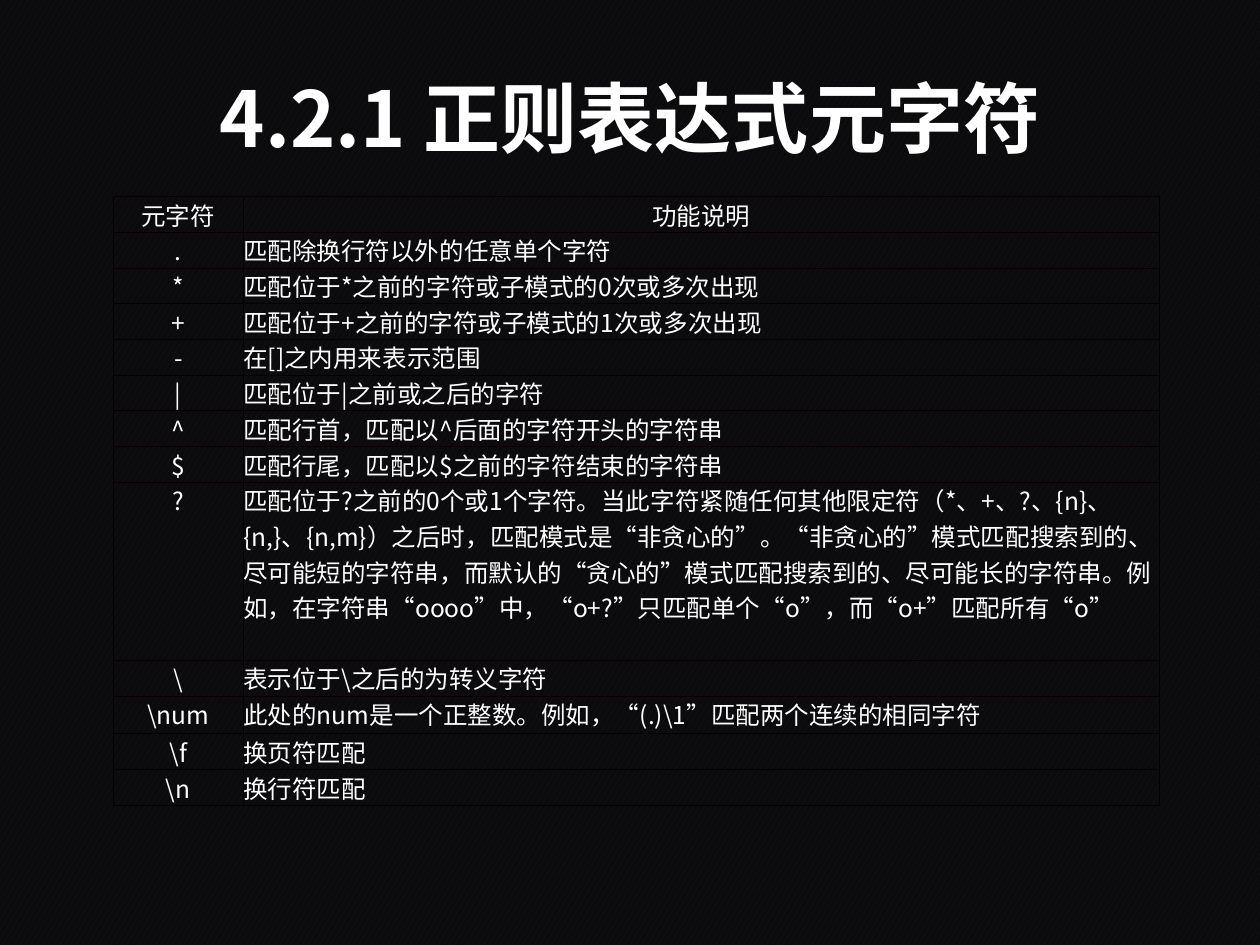
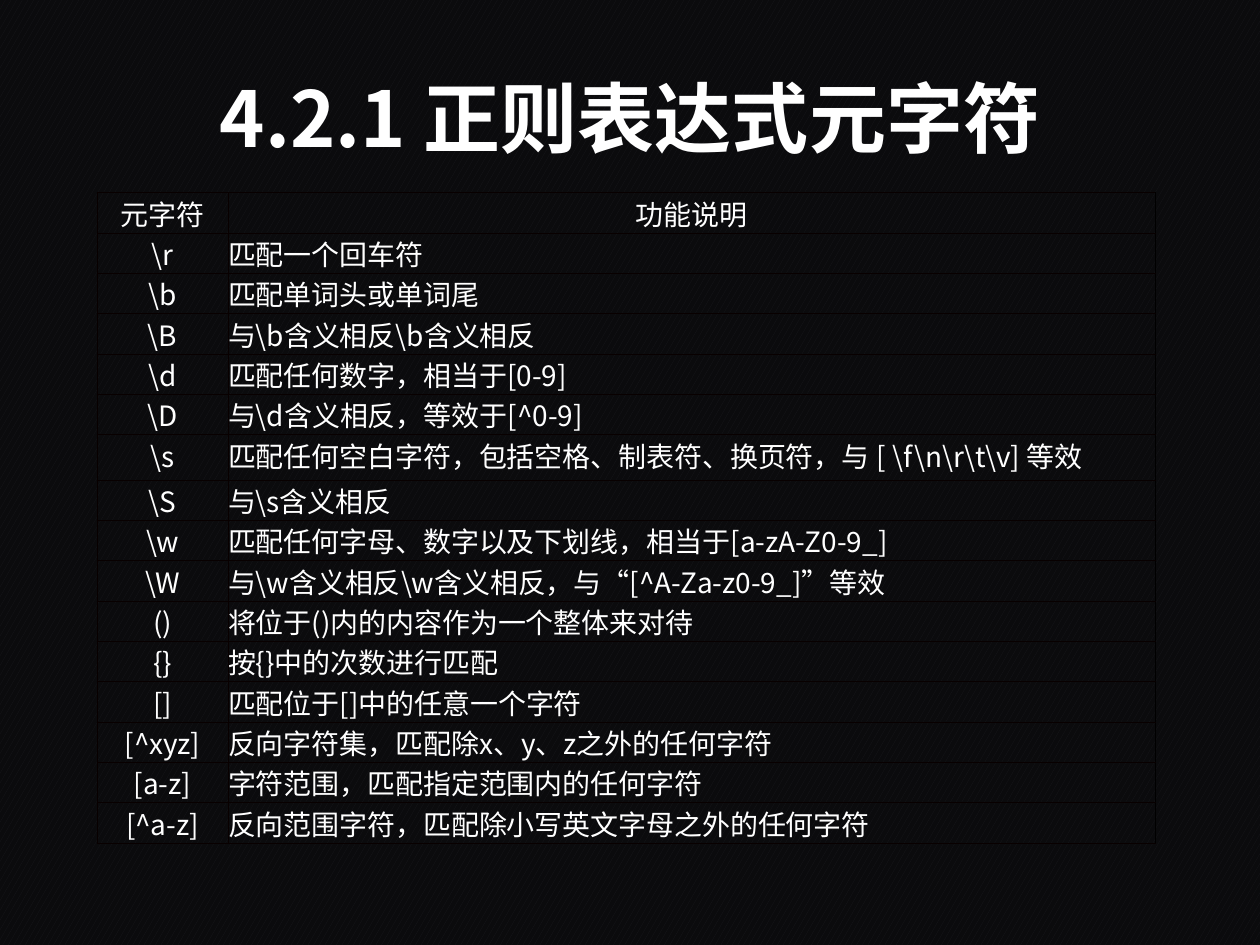
from lxml.etree import SubElement
from pptx import Presentation
from pptx.dml.color import RGBColor
from pptx.enum.dml import MSO_PATTERN
from pptx.enum.text import MSO_ANCHOR, PP_ALIGN
from pptx.oxml.ns import qn
from pptx.util import Inches, Pt

WHITE = RGBColor(0xFF, 0xFF, 0xFF)
NIGHT = RGBColor(0x0B, 0x0B, 0x0D)
CONFETTI = RGBColor(0x19, 0x19, 0x1D)
GRID_LINE = RGBColor(0x08, 0x00, 0x00)
OUTER_LINE = RGBColor(0x00, 0x00, 0x00)
FONT = "Noto Sans CJK SC"
TITLE_RUNS = [("4.2.1 正则表达式", FONT), ("元字符", "Arial")]
HEADER = ("元字符", "功能说明")
CENTRED_VERTICALLY = (r"\f", r"\n", r"\r", "[^xyz]", "[a-z]", "[^a-z]")

FIRST_ROWS = [
    HEADER,
    (".", "匹配除换行符以外的任意单个字符"),
    ("*", "匹配位于*之前的字符或子模式的0次或多次出现"),
    ("+", "匹配位于+之前的字符或子模式的1次或多次出现"),
    ("-", "在[]之内用来表示范围"),
    ("|", "匹配位于|之前或之后的字符"),
    ("^", "匹配行首，匹配以^后面的字符开头的字符串"),
    ("$", "匹配行尾，匹配以$之前的字符结束的字符串"),
    ("?", "匹配位于?之前的0个或1个字符。当此字符紧随任何其他限定符"
          "（*、+、?、{n}、{n,}、{n,m}）之后时，匹配模式是“非贪心的”。"
          "“非贪心的”模式匹配搜索到的、尽可能短的字符串，"
          "而默认的“贪心的”模式匹配搜索到的、尽可能长的字符串。"
          "例如，在字符串“oooo”中，“o+?”只匹配单个“o”，而“o+”匹配所有“o”"),
    ("\\", "表示位于\\之后的为转义字符"),
    (r"\num", r"此处的num是一个正整数。例如，“(.)\1”匹配两个连续的相同字符"),
    (r"\f", "换页符匹配"),
    (r"\n", "换行符匹配"),
]
SECOND_ROWS = [
    HEADER,
    (r"\r", "匹配一个回车符"),
    (r"\b", "匹配单词头或单词尾"),
    (r"\B", r"与\b含义相反\b含义相反"),
    (r"\d", "匹配任何数字，相当于[0-9]"),
    (r"\D", r"与\d含义相反，等效于[^0-9]"),
    (r"\s", r"匹配任何空白字符，包括空格、制表符、换页符，与 [ \f\n\r\t\v] 等效"),
    (r"\S", r"与\s含义相反"),
    (r"\w", "匹配任何字母、数字以及下划线，相当于[a-zA-Z0-9_]"),
    (r"\W", r"与\w含义相反\w含义相反，与“[^A-Za-z0-9_]”等效"),
    ("()", "将位于()内的内容作为一个整体来对待"),
    ("{}", "按{}中的次数进行匹配"),
    ("[]", "匹配位于[]中的任意一个字符"),
    ("[^xyz]", "反向字符集，匹配除x、y、z之外的任何字符"),
    ("[a-z]", "字符范围，匹配指定范围内的任何字符"),
    ("[^a-z]", "反向范围字符，匹配除小写英文字母之外的任何字符"),
]
# rows, left and top and column widths in inches,
# row height and taller rows by symbol in points, text size
TABLES = [
    (FIRST_ROWS, 0.9, 1.56, (1.03, 7.27), 20.43, {"?": 101.7, r"\num": 21.6}, 14),
    (SECOND_ROWS, 0.77, 1.53, (1.04, 7.36), 23.07, {r"\s": 25.92}, 16),
]


def add_span(para, text, size, latin=FONT, bold=False):
    span = para.add_run()
    span.text = text
    span.font.size = Pt(size)
    span.font.bold = bold
    span.font.color.rgb = WHITE
    span.font.name = latin
    SubElement(span.font._element, qn("a:ea"), typeface=FONT)


def add_border(cell, side, color, points):
    line = SubElement(cell._tc.get_or_add_tcPr(), qn(f"a:ln{side}"), w=str(Pt(points)))
    fill = SubElement(line, qn("a:solidFill"))
    SubElement(fill, qn("a:srgbClr"), val=str(color))


deck = Presentation()
deck.slide_width, deck.slide_height = Inches(10), Inches(7.5)
width, height = deck.slide_width, deck.slide_height

for rows, left, top, column_widths, row_height, taller, size in TABLES:
    page = deck.slides.add_slide(deck.slide_layouts[6])
    backdrop = page.background.fill
    backdrop.patterned()
    backdrop.pattern = MSO_PATTERN.LARGE_CONFETTI
    backdrop.fore_color.rgb = CONFETTI
    backdrop.back_color.rgb = NIGHT

    box = page.shapes.add_textbox(
        int(width * 0.05), int(height * 0.04), int(width * 0.9), Inches(1.25))
    box.text_frame.word_wrap = True
    box.text_frame.vertical_anchor = MSO_ANCHOR.MIDDLE
    para = box.text_frame.paragraphs[0]
    para.alignment = PP_ALIGN.CENTER
    for text, latin in TITLE_RUNS:
        add_span(para, text, 44, latin, bold=True)

    heights = [Pt(taller.get(symbol, row_height)) for symbol, meaning in rows]
    table = page.shapes.add_table(
        len(rows), 2, Inches(left), Inches(top),
        Inches(sum(column_widths)), sum(heights)).table
    table.first_row = table.horz_banding = False
    for column, column_width in zip(table.columns, column_widths):
        column.width = Inches(column_width)

    for row_index, row in enumerate(rows):
        table.rows[row_index].height = heights[row_index]
        for column_index, text in enumerate(row):
            cell = table.cell(row_index, column_index)
            cell.margin_left = cell.margin_right = 0
            cell.margin_top = cell.margin_bottom = 0
            for side in "LRTB":
                outer = side == "R" and column_index == 1
                add_border(cell, side, OUTER_LINE if outer else GRID_LINE,
                           0.75 if outer else 0.5)
            cell.fill.background()
            para = cell.text_frame.paragraphs[0]
            if column_index == 0 or row == HEADER:
                para.alignment = PP_ALIGN.CENTER
            elif row[0] in CENTRED_VERTICALLY:
                cell.vertical_anchor = MSO_ANCHOR.MIDDLE
            add_span(para, text, size)

deck.save("out.pptx")
